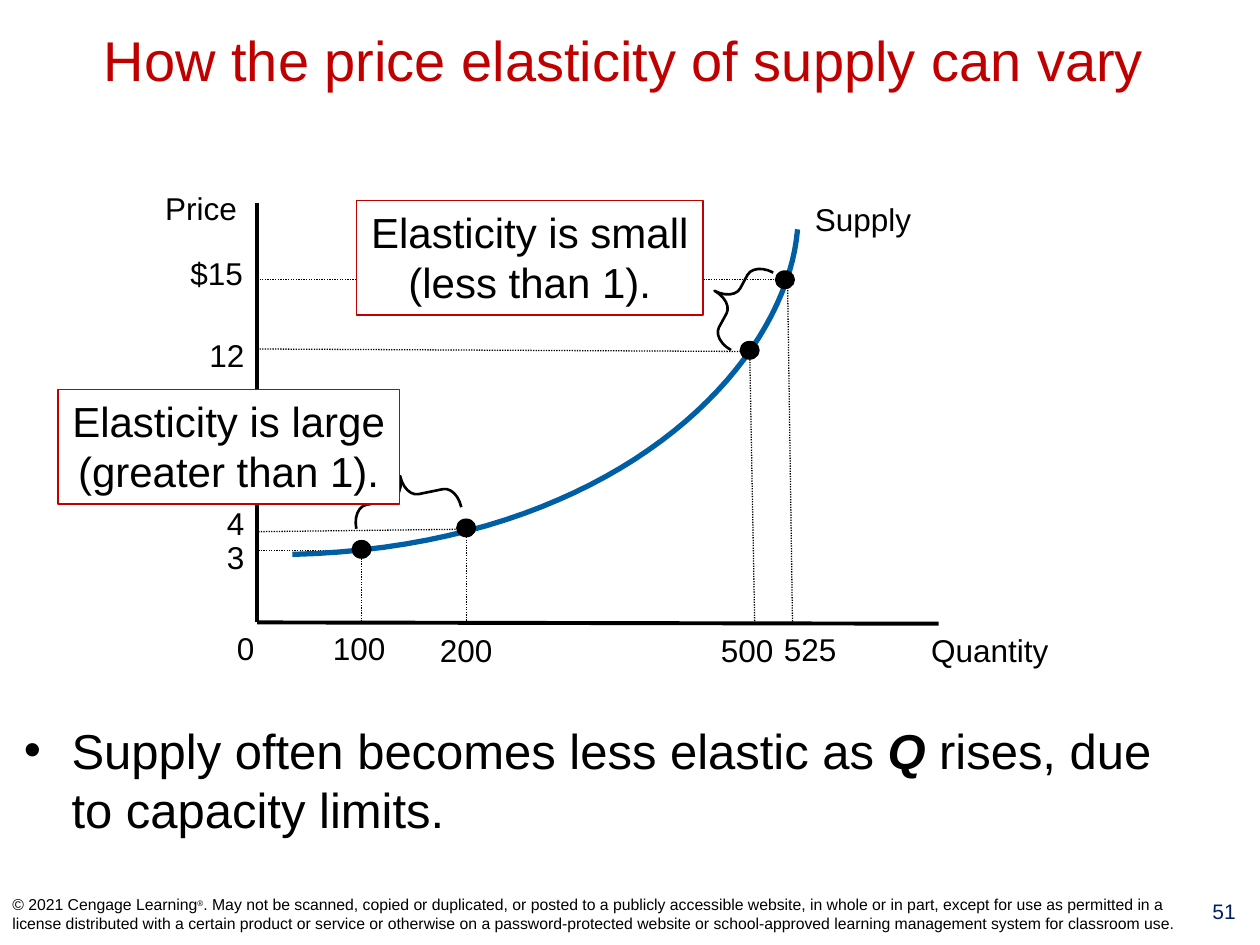
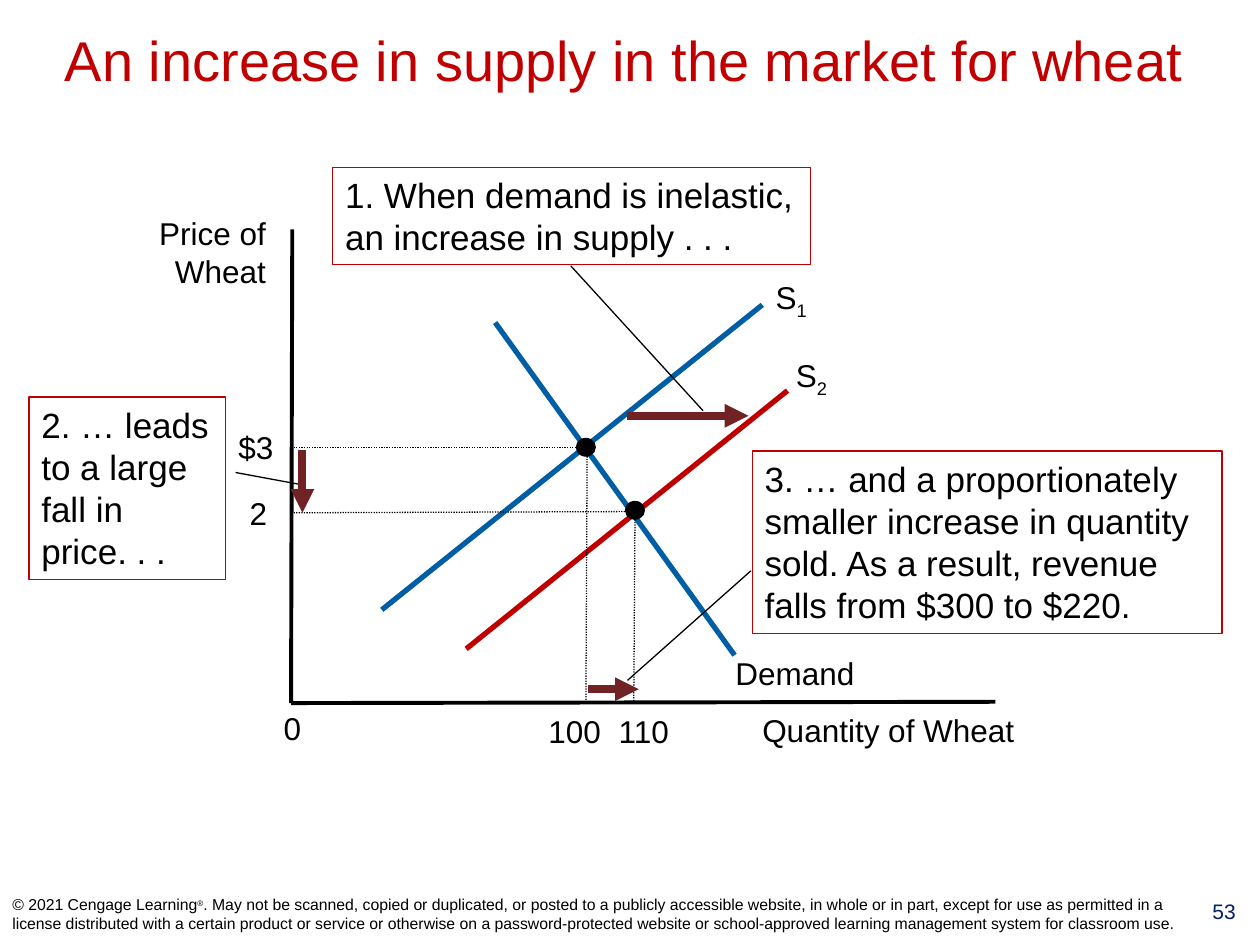
from dataclasses import dataclass

from lxml import etree
from pptx import Presentation
from pptx.dml.color import RGBColor
from pptx.enum import dml, shapes, text
from pptx.oxml import ns
from pptx.util import Inches, Pt

LEFT, CENTER, RIGHT = text.PP_ALIGN.LEFT, text.PP_ALIGN.CENTER, text.PP_ALIGN.RIGHT
TOP, MIDDLE = text.MSO_ANCHOR.TOP, text.MSO_ANCHOR.MIDDLE


@dataclass(frozen=True)
class Theme:
    font: str = "Arial"
    ink: str = "000000"
    paper: str = "FFFFFF"
    red: str = "C00000"
    blue: str = "005EA4"
    navy: str = "002060"
    maroon: str = "702224"
    title: int = 32
    body: int = 28
    callout: int = 24
    note: int = 20
    label: int = 18
    number: int = 12
    footer: int = 9
    mark: int = 8
    hair: float = 0.75
    brace: float = 1.5
    axis: float = 2.25
    curve: float = 3
    arrow: float = 4.5


COPYRIGHT = [
    "© 2021 Cengage Learning",
    ("®", {"size": Theme.mark, "shift": 30}),
    ". May not be scanned, copied or duplicated, or posted to a publicly accessible "
    "website, in whole or in part, except for use as permitted in a license distributed "
    "with a certain product or service or otherwise on a password-protected website or "
    "school-approved learning management system for classroom use.",
]


def box(*lengths):
    return [Inches(v) for v in lengths]


def add_xml(parent, tag, **attributes):
    return etree.SubElement(parent, ns.qn(tag), attributes)


class Deck:
    def __init__(self, theme):
        self.theme = theme
        self.prs = Presentation()
        self.prs.slide_width, self.prs.slide_height = box(10, 7.5)
        self.s = None

    def new_slide(self, title, number):
        t = self.theme
        self.s = self.prs.slides.add_slide(self.prs.slide_layouts[5])
        sp = self.s.shapes.title
        sp.left, sp.top, sp.width, sp.height = box(0.08, 0.11, 9.75, 0.72)
        self.fill_text(sp, [title], t.title, t.red, CENTER, MIDDLE)
        self.text([number], (9.43, 7.08, 0.57, 0.41), t.number, t.navy, CENTER, wrap=True)
        self.text([COPYRIGHT], (0, 7, 9.5, 0.5), t.footer, anchor=MIDDLE, wrap=True)

    def fill_text(self, sp, lines, size, color=Theme.ink, align=LEFT, anchor=TOP, wrap=False):
        """Fill a shape; each line is a string or a list of strings and (string, style)."""
        tf = sp.text_frame
        tf.auto_size = text.MSO_AUTO_SIZE.NONE
        tf.word_wrap, tf.vertical_anchor = wrap, anchor
        for i, line in enumerate(lines):
            p = tf.add_paragraph() if i else tf.paragraphs[0]
            p.alignment = align
            for part in [line] if isinstance(line, str) else line:
                words, style = (part, {}) if isinstance(part, str) else part
                r = p.add_run()
                r.text = words
                r.font.name = self.theme.font
                r.font.size = Pt(style.get("size", size))
                r.font.color.rgb = RGBColor.from_string(color)
                if style.get("strong"):
                    r.font.bold = r.font.italic = True
                if "shift" in style:
                    r._r.get_or_add_rPr().set("baseline", str(style["shift"] * 1000))

    def text(self, lines, at, size, *args, **kwargs):
        sp = self.s.shapes.add_textbox(*box(*at))
        self.fill_text(sp, lines, size, *args, **kwargs)
        return sp

    def label(self, words, left, top, width, align=CENTER):
        lines = words if isinstance(words, list) else [words]
        self.text(lines, (left, top, width, 0.4 * len(lines)), self.theme.label, align=align)

    def subscripted(self, letter, index, left, top):
        self.label([[letter, (index, {"shift": -25})]], left, top, 0.46)

    def bullet(self, line, at):
        sp = self.text([line], at, self.theme.body, wrap=True)
        pPr = sp.text_frame.paragraphs[0]._p.get_or_add_pPr()
        indent = Inches(0.38)
        pPr.set("marL", str(indent))
        pPr.set("indent", str(-indent))
        add_xml(pPr, "a:buFont", typeface=self.theme.font)
        add_xml(pPr, "a:buChar", char="•")

    def stroke(self, sp, color, width):
        sp.line.color.rgb = RGBColor.from_string(color)
        sp.line.width = Pt(width)

    def line(self, start, end, color=Theme.ink, width=Theme.hair, dotted=False, arrow=False):
        sp = self.s.shapes.add_connector(shapes.MSO_CONNECTOR.STRAIGHT, *box(*start, *end))
        self.stroke(sp, color, width)
        if dotted:
            sp.line.dash_style = dml.MSO_LINE.ROUND_DOT
        if arrow:
            add_xml(sp.line._get_or_add_ln(), "a:tailEnd", type="triangle")
        add_xml(sp._element.spPr, "a:effectLst")

    def axes(self, top, origin, right):
        for end in (top, right):
            self.line(origin, end, width=self.theme.axis)

    def guides(self, *pairs):
        for start, end in pairs:
            self.line(start, end, dotted=True)

    def arrow(self, start, end):
        self.line(start, end, self.theme.maroon, self.theme.arrow, arrow=True)

    def shape(self, kind, at, fill=None):
        sp = self.s.shapes.add_shape(kind, *box(*at))
        sp.shadow.inherit = False
        if fill:
            sp.fill.solid()
            sp.fill.fore_color.rgb = RGBColor.from_string(fill)
        else:
            sp.fill.background()
        return sp

    def dots(self, *centers):
        w, h = 0.16, 0.15
        for x, y in centers:
            sp = self.shape(shapes.MSO_SHAPE.OVAL, (x - w / 2, y - h / 2, w, h), self.theme.ink)
            sp.line.fill.background()

    def brace(self, at, rotation):
        sp = self.shape(shapes.MSO_SHAPE.LEFT_BRACE, at)
        sp.adjustments[0], sp.adjustments[1] = 0.333, 0.5
        sp.rotation = rotation
        self.stroke(sp, self.theme.ink, self.theme.brace)

    def callout(self, lines, at, size, align=LEFT, wrap=False, fill=None):
        sp = self.shape(shapes.MSO_SHAPE.RECTANGLE, at, fill)
        self.stroke(sp, self.theme.red, self.theme.hair)
        self.fill_text(sp, lines, size, align=align, wrap=wrap)

    def curve(self, controls, steps=40):
        """Draw a cubic Bezier curve through evenly spaced parameters."""
        points = []
        for i in range(steps + 1):
            t = i / steps
            weights = ((1 - t) ** 3, 3 * t * (1 - t) ** 2, 3 * t * t * (1 - t), t ** 3)
            points.append([Inches(sum(w * v for w, v in zip(weights, axis)))
                           for axis in zip(*controls)])
        builder = self.s.shapes.build_freeform(*points[0])
        builder.add_line_segments(points[1:], close=False)
        sp = builder.convert_to_shape()
        sp.shadow.inherit = False
        sp.fill.background()
        self.stroke(sp, self.theme.blue, self.theme.curve)


def elasticity_slide(d):
    t = d.theme
    d.new_slide("How the price elasticity of supply can vary", "51")
    d.bullet(["Supply often becomes less elastic as ", ("Q", {"strong": True}),
              " rises, due to capacity limits."], (0.09, 5.67, 9.32, 1.33))
    d.axes((2.04, 1.61), (2.04, 4.94), (7.45, 4.95))
    d.guides(
        ((2.04, 2.22), (6.2, 2.22)), ((6.25, 2.2), (6.29, 4.95)),
        ((2.04, 2.77), (5.95, 2.79)), ((5.95, 2.79), (5.99, 4.95)),
        ((2.05, 4.22), (3.7, 4.2)), ((3.7, 4.2), (3.7, 4.95)),
        ((2.05, 4.37), (2.79, 4.37)), ((2.87, 4.37), (2.87, 4.94)),
    )
    for words, left, top, width in (
        ("Price", 1.17, 1.45, 0.85), ("Quantity", 7.25, 4.96, 1.21),
        ("Supply", 6.33, 1.54, 1.04), ("0", 1.78, 4.94, 0.34),
        ("$15", 1.41, 1.97, 0.62), ("12", 1.56, 2.62, 0.48),
        ("4", 1.7, 3.95, 0.34), ("3", 1.7, 4.22, 0.34),
        ("100", 2.54, 4.94, 0.62), ("200", 3.39, 4.96, 0.62),
        ("500", 5.62, 4.96, 0.62), ("525", 6.12, 4.95, 0.62),
    ):
        d.label(words, left, top, width)
    d.curve([(2.32, 4.4), (4.88, 4.34), (6.24, 2.91), (6.33, 1.82)])
    d.dots((2.87, 4.36), (3.7, 4.19), (5.95, 2.78), (6.23, 2.22))
    d.brace((5.65, 2.04, 0.34, 0.7), 28.6)
    d.brace((3.04, 3.52, 0.34, 0.85), 78.4)
    d.callout(["Elasticity is small", "(less than 1)."], (2.83, 1.59, 2.75, 0.91),
              t.callout, CENTER, fill=t.paper)
    d.callout(["Elasticity is large", "(greater than 1)."], (0.46, 3.09, 2.71, 0.91),
              t.callout, CENTER, fill=t.paper)


def wheat_slide(d):
    t = d.theme
    d.new_slide("An increase in supply in the market for wheat", "53")
    for start, end, color in (
        ((3.03, 4.84), (6.05, 2.42), t.blue),
        ((3.7, 5.15), (6.25, 3.1), t.red),
        ((3.93, 2.56), (5.83, 5.2), t.blue),
    ):
        d.line(start, end, color, t.curve)
    d.subscripted("S", "1", 6.05, 2.16)
    d.subscripted("S", "2", 6.21, 2.78)
    d.axes((2.32, 1.82), (2.31, 5.58), (7.9, 5.57))
    d.guides(
        ((2.31, 3.55), (4.73, 3.55)), ((4.66, 3.58), (4.65, 5.58)),
        ((2.33, 4.07), (5.04, 4.06)), ((5.04, 4.08), (5.03, 5.58)),
    )
    d.label(["Price of", "Wheat"], 1.15, 1.65, 1.06, RIGHT)
    for words, left, top, width in (
        ("Quantity of Wheat", 5.94, 5.59, 2.22), ("Demand", 5.66, 5.14, 1.3),
        ("0", 2.15, 5.58, 0.34), ("$3", 1.79, 3.35, 0.48), ("2", 1.88, 3.87, 0.34),
        ("100", 4.25, 5.6, 0.62), ("110", 4.81, 5.6, 0.6),
    ):
        d.label(words, left, top, width)
    d.dots((4.65, 3.55), (5.04, 4.05))
    d.callout(["1. When demand is inelastic,", "an increase in supply . . ."],
              (2.64, 1.33, 3.79, 0.77), t.note)
    d.callout(["2. … leads", "to a large fall in price. . ."],
              (0.23, 3.15, 1.56, 1.45), t.note, wrap=True)
    d.callout(["3. … and a proportionately smaller increase in quantity sold. "
               "As a result, revenue falls from $300 to $220."],
              (5.97, 3.58, 3.73, 1.45), t.note, wrap=True)
    for start, end in (((4.53, 2.11), (5.58, 3.26)), ((1.87, 3.75), (2.41, 3.85)),
                       ((5.96, 4.53), (4.98, 5.4))):
        d.line(start, end)
    for start, end in (((4.98, 3.3), (5.94, 3.3)), ((2.4, 3.57), (2.4, 4.07)),
                       ((4.67, 5.47), (5.07, 5.47))):
        d.arrow(start, end)


def main():
    d = Deck(Theme())
    elasticity_slide(d)
    wheat_slide(d)
    d.prs.save("out.pptx")


if __name__ == "__main__":
    main()
